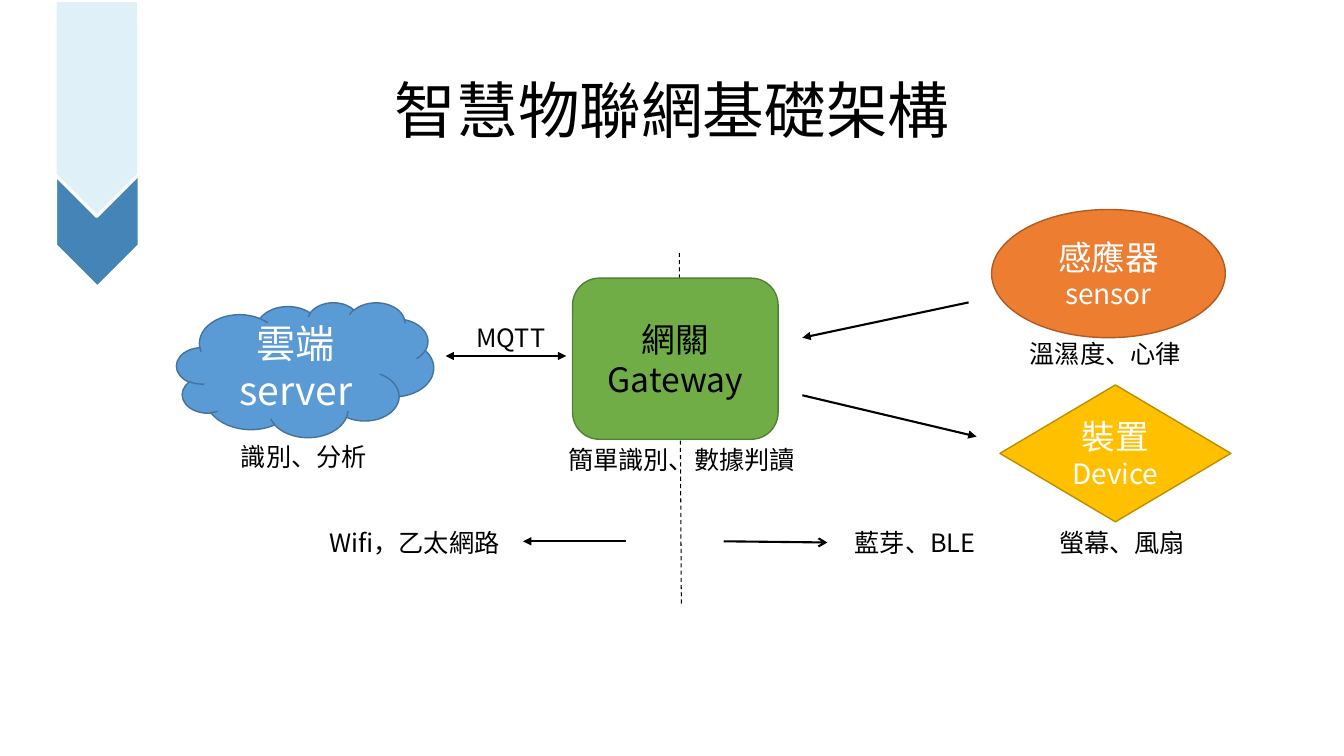
from lxml import etree
from pptx import Presentation
from pptx.dml.color import RGBColor
from pptx.enum import dml, shapes, text
from pptx.oxml import ns
from pptx.util import Cm, Pt

FONT = "Noto Sans CJK SC"
BLACK = RGBColor(0x00, 0x00, 0x00)
WHITE = RGBColor(0xFF, 0xFF, 0xFF)
DARK_BLUE = RGBColor(0x45, 0x84, 0xB7)
PALE_BLUE = RGBColor(0xDF, 0xF0, 0xF9)
GREEN = RGBColor(0x70, 0xAD, 0x47)
GREEN_EDGE = RGBColor(0x53, 0x80, 0x35)
BLUE = RGBColor(0x5B, 0x9B, 0xD5)
BLUE_EDGE = RGBColor(0x43, 0x73, 0x9E)
ORANGE = RGBColor(0xED, 0x7D, 0x31)
ORANGE_EDGE = RGBColor(0xAF, 0x5C, 0x24)
YELLOW = RGBColor(0xFF, 0xC0, 0x00)
YELLOW_EDGE = RGBColor(0xBD, 0x8E, 0x00)
PRESET = shapes.MSO_SHAPE

TITLE = "智慧物聯網基礎架構"
TITLE_BOX = (2.34, 1.02, 29.21, 3.68)
RIBBONS = [
    ((0.08, 3.81, 4.75, 2.11), DARK_BLUE),
    ((-0.28, 1.68, 5.44, 2.11), PALE_BLUE),
]
DIVIDER = ((17.17, 15.21), (17.12, 6.38))
NODES = [
    (PRESET.ROUNDED_RECTANGLE, (14.43, 7.01, 5.18, 4.06), GREEN, GREEN_EDGE, BLACK,
     [("網關", 24), ("Gateway", 24)]),
    (PRESET.CLOUD, (4.45, 7.62, 6.48, 3.4), BLUE, BLUE_EDGE, WHITE,
     [("雲端", 28), ("server", 28)]),
    (PRESET.OVAL, (24.99, 5.28, 5.89, 3.23), ORANGE, ORANGE_EDGE, WHITE,
     [("感應器", 24), ("sensor", 20)]),
    (PRESET.FLOWCHART_DECISION, (25.2, 9.7, 5.82, 3.45), YELLOW, YELLOW_EDGE, WHITE,
     [("裝置", 24), ("Device", 20)]),
]
ARROWS = [
    ((24.41, 7.62), (20.22, 8.51), {"tailEnd": "triangle"}),
    ((20.22, 9.96), (24.61, 11), {"tailEnd": "triangle"}),
    ((11.23, 8.97), (14.27, 8.97), {"headEnd": "triangle", "tailEnd": "triangle"}),
    ((18.24, 13.64), (20.85, 13.67), {"tailEnd": "arrow"}),
    ((15.77, 13.64), (13.18, 13.64), {"tailEnd": "triangle"}),
]
LABEL_HEIGHT = 1.02
LABELS = [
    ("藍芽、BLE", 21.29, 13.16, 4.29),
    ("Wifi，乙太網路", 8.05, 13.16, 4.88),
    ("識別、分析", 5.82, 11, 4.34),
    ("簡單識別、數據判讀", 14.07, 11.07, 6.43),
    ("溫濕度、心律", 25.7, 8.41, 5.31),
    ("螢幕、風扇", 26.44, 13.16, 4.45),
    ("MQTT", 11.76, 8, 2.36),
]


def lengths(values):
    return [Cm(value) for value in values]


def write(paragraph, words, size, color):
    run = paragraph.add_run()
    run.text = words
    run.font.size = Pt(size)
    run.font.name = FONT
    run.font.color.rgb = color
    east_asian = etree.SubElement(run.font._element, ns.qn("a:ea"))
    east_asian.set("typeface", FONT)


def add_block(slide, preset, box, fill, edge, width):
    block = slide.shapes.add_shape(preset, *lengths(box))
    block.shadow.inherit = False
    block.fill.solid()
    block.fill.fore_color.rgb = fill
    block.line.color.rgb = edge
    block.line.width = Pt(width)
    return block


def add_line(slide, start, end, width):
    line = slide.shapes.add_connector(shapes.MSO_CONNECTOR.STRAIGHT, *lengths(start + end))
    line.line.color.rgb = BLACK
    line.line.width = Pt(width)
    etree.SubElement(line._element.spPr, ns.qn("a:effectLst"))
    return line


def add_title(slide):
    title = slide.shapes.title
    title.left, title.top, title.width, title.height = lengths(TITLE_BOX)
    frame = title.text_frame
    frame.auto_size = text.MSO_AUTO_SIZE.NONE
    frame.vertical_anchor = text.MSO_ANCHOR.MIDDLE
    paragraph = frame.paragraphs[0]
    paragraph.alignment = text.PP_ALIGN.CENTER
    paragraph.line_spacing = 0.9
    write(paragraph, TITLE, 44, BLACK)


def add_node(slide, preset, box, fill, edge, color, rows):
    frame = add_block(slide, preset, box, fill, edge, 1).text_frame
    frame.word_wrap = True
    frame.vertical_anchor = text.MSO_ANCHOR.MIDDLE
    for index, (words, size) in enumerate(rows):
        paragraph = frame.add_paragraph() if index else frame.paragraphs[0]
        paragraph.alignment = text.PP_ALIGN.CENTER
        write(paragraph, words, size, color)


def add_arrow(slide, start, end, heads):
    arrow = add_line(slide, start, end, 1.5)
    outline = arrow.line._get_or_add_ln()
    for tag, style in heads.items():
        etree.SubElement(outline, ns.qn("a:" + tag)).set("type", style)


def add_label(slide, words, left, top, width):
    frame = slide.shapes.add_textbox(*lengths((left, top, width, LABEL_HEIGHT))).text_frame
    frame.word_wrap = True
    write(frame.paragraphs[0], words, 18, BLACK)


def main():
    deck = Presentation()
    deck.slide_width, deck.slide_height = Cm(33.87), Cm(19.05)
    slide = deck.slides.add_slide(deck.slide_layouts[5])
    add_title(slide)
    for box, fill in RIBBONS:
        add_block(slide, PRESET.PENTAGON, box, fill, WHITE, 2.25).rotation = 90
    add_line(slide, *DIVIDER, 0.75).line.dash_style = dml.MSO_LINE.DASH
    for node in NODES:
        add_node(slide, *node)
    for arrow in ARROWS:
        add_arrow(slide, *arrow)
    for label in LABELS:
        add_label(slide, *label)
    deck.save("out.pptx")


if __name__ == "__main__":
    main()
